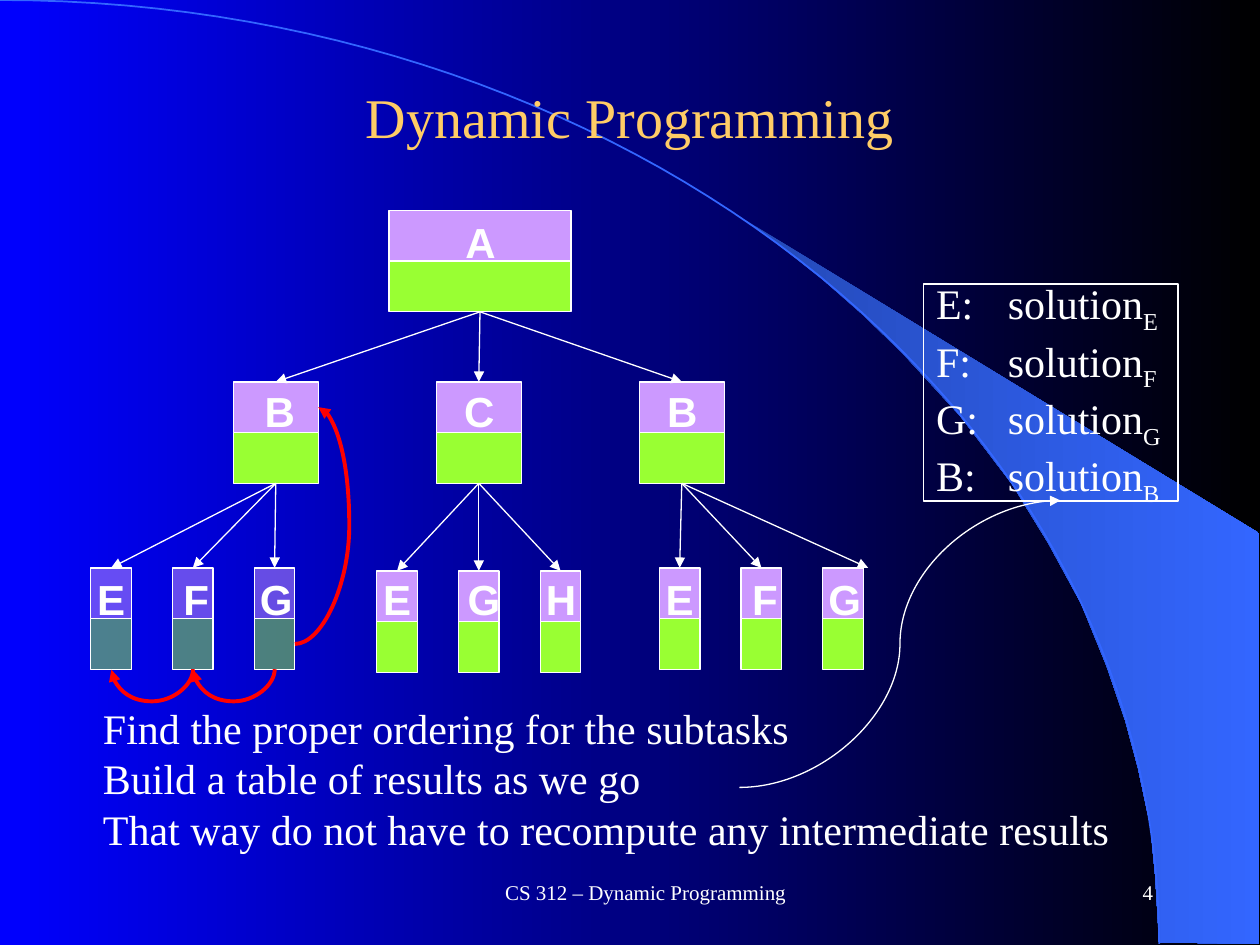
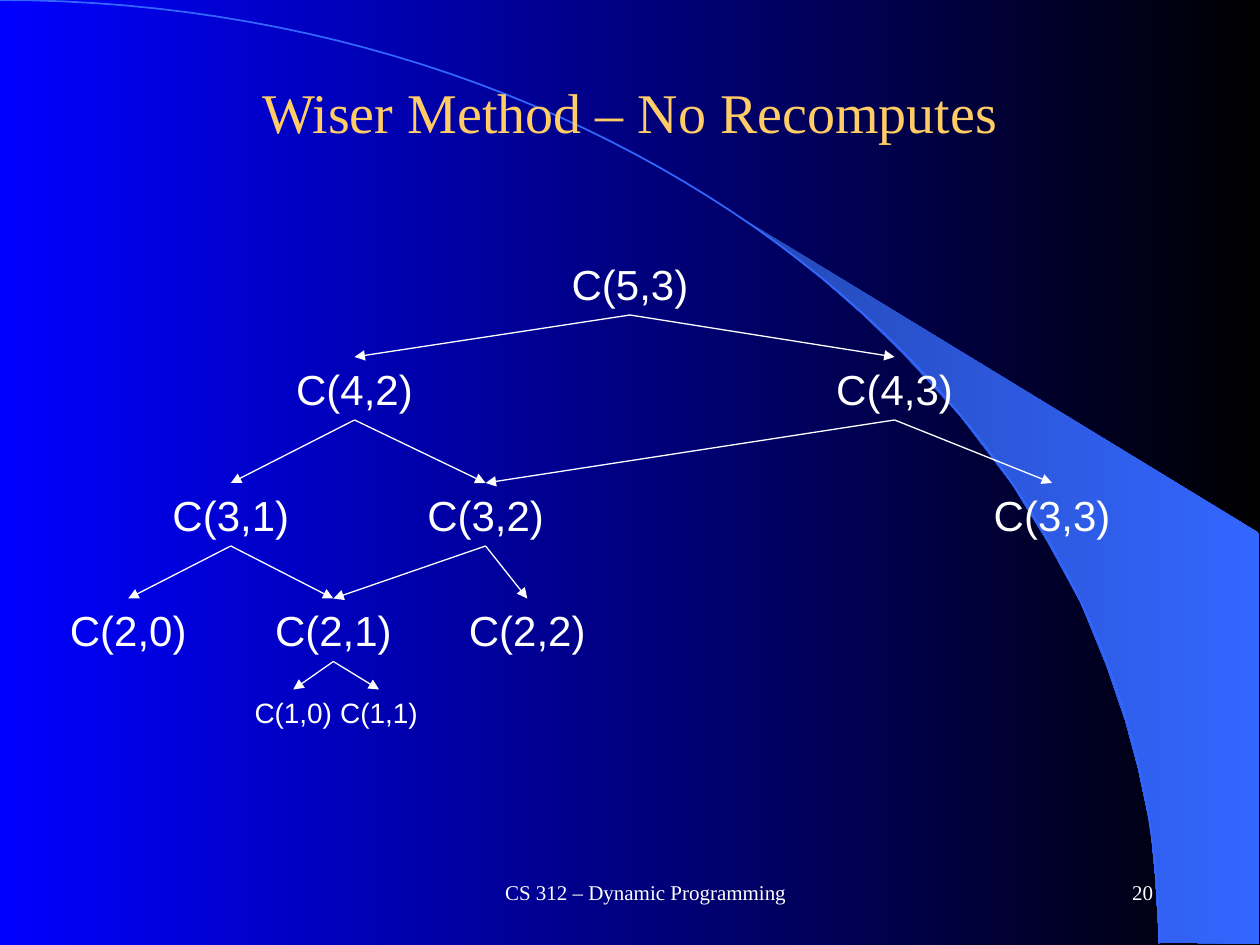
from dataclasses import dataclass
from lxml.etree import SubElement
from pptx import Presentation
from pptx.dml.color import RGBColor
from pptx.enum.shapes import MSO_CONNECTOR, MSO_SHAPE
from pptx.enum.text import MSO_ANCHOR, PP_ALIGN
from pptx.oxml.ns import qn
from pptx.util import Pt


@dataclass(frozen=True)
class Theme:
    white: str = "FFFFFF"
    gold: str = "FFCC66"
    blue: str = "0000FF"
    black: str = "000000"
    sky: str = "3366FF"
    dusk: str = "2449B6"
    lilac: str = "CC99FF"
    lime: str = "99FF33"
    red: str = "FF0000"
    serif: str = "Times New Roman"
    sans: str = "Arial"
    title: int = 32
    body: int = 24
    small: int = 16
    foot: int = 12
    thin: float = 0.75
    thick: float = 2.25


T = Theme()
LEFT, MID, RIGHT = PP_ALIGN.LEFT, PP_ALIGN.CENTER, PP_ALIGN.RIGHT
TOP_SIDE, LOW_SIDE, RIGHT_SIDE = 0, 2, 3
HALF = 29
WING = [(662.4, 538.6), (719.3, 539.3), (719.3, 304.6), (424, 124.6),
        (449.3, 143.3), (470.2, 159.8), (493.2, 180), (515.5, 201.6),
        (548.6, 237.6), (578.2, 276.5), (599, 310.3), (617.8, 344.9),
        (632.2, 380.2), (643, 411.8), (650.2, 438.5), (657.4, 472.3),
        (660.2, 501.1)]
ARC = [(0, 0), (365.8, 0), (662.4, 241.2), (662.4, 539.3)]


def rgb(code):
    return RGBColor.from_string(code)


def blend(fill, start, end):
    """Fill with a gradient that runs from left to right."""
    fill.gradient()
    fill.gradient_angle = 0
    for stop, code in zip(fill.gradient_stops, (start, end)):
        stop.color.rgb = rgb(code)


def write(shape, text, size=T.body, font=T.serif, color=T.white, bold=False,
          align=LEFT, wrap=False, tab=None):
    """Put text in a shape; what follows an underscore is a subscript."""
    frame = shape.text_frame
    frame.word_wrap = wrap
    frame.vertical_anchor = MSO_ANCHOR.MIDDLE
    for i, line in enumerate(text.split("\n")):
        para = frame.add_paragraph() if i else frame.paragraphs[0]
        para.alignment = align
        if tab:
            tabs = SubElement(para._p.get_or_add_pPr(), qn("a:tabLst"))
            SubElement(tabs, qn("a:tab"), pos=str(Pt(tab)), algn="l")
        for j, part in enumerate(line.split("_")):
            run = para.add_run()
            run.text = part
            run.font.size, run.font.name = Pt(size), font
            run.font.bold = bold
            run.font.color.rgb = rgb(color)
            if j:
                run._r.get_or_add_rPr().set("baseline", "-25000")


def label(slide, text, x, y, w, h, **style):
    box = slide.shapes.add_textbox(Pt(x), Pt(y), Pt(w), Pt(h))
    write(box, text, **style)
    return box


def rect(slide, x, y, w, h, fill=None, alpha=None, width=T.thin):
    box = slide.shapes.add_shape(MSO_SHAPE.RECTANGLE, Pt(x), Pt(y), Pt(w), Pt(h))
    box.shadow.inherit = False
    box.line.color.rgb = rgb(T.white)
    box.line.width = Pt(width)
    if fill:
        box.fill.solid()
        box.fill.fore_color.rgb = rgb(fill)
    else:
        box.fill.background()
    if alpha:
        tint = box.element.spPr.find(".//" + qn("a:srgbClr"))
        SubElement(tint, qn("a:alpha"), val=str(alpha * 1000))
    return box


def outline(slide, points, close):
    spots = [(Pt(x), Pt(y)) for x, y in points]
    pen = slide.shapes.build_freeform(*spots[0], scale=1)
    pen.add_line_segments(spots[1:], close=close)
    shape = pen.convert_to_shape()
    shape.shadow.inherit = False
    return shape


def bezier(ends, steps=60):
    """Points along a cubic curve."""
    for i in range(steps + 1):
        t = i / steps
        parts = (1 - t) ** 3, 3 * t * (1 - t) ** 2, 3 * t * t * (1 - t), t ** 3
        yield tuple(sum(p * end[axis] for p, end in zip(parts, ends))
                    for axis in (0, 1))


def arrow(slide, start=(0, 0), end=(0, 0), kind=MSO_CONNECTOR.STRAIGHT,
          color=T.white, width=T.thin):
    line = slide.shapes.add_connector(kind, *map(Pt, start + end))
    line.line.color.rgb = rgb(color)
    line.line.width = Pt(width)
    props = line.element.spPr
    SubElement(props.find(qn("a:ln")), qn("a:tailEnd"), type="triangle")
    SubElement(props, qn("a:effectLst"))
    return line


def link(slide, upper, lower):
    line = arrow(slide)
    line.begin_connect(upper, LOW_SIDE)
    line.end_connect(lower, TOP_SIDE)


def bend(slide, start, end, side, ratio):
    """Red curve between the same side of two boxes."""
    line = arrow(slide, kind=MSO_CONNECTOR.CURVE, color=T.red, width=T.thick)
    line.begin_connect(start, side)
    line.end_connect(end, side)
    values = line.element.spPr.find(".//" + qn("a:avLst"))
    SubElement(values, qn("a:gd"), name="adj1", fmla=f"val {round(ratio * 100000)}")
    return line


def sag(slide, start, end):
    """Red curve that hangs 18 points below two boxes."""
    thin = 0.25
    line = bend(slide, start, end, LOW_SIDE, 18 / thin)
    span = end.left - start.left
    line.left = start.left + (start.width + span) // 2
    line.top = start.top + start.height - span // 2
    line.width, line.height = Pt(thin), span
    frame = line.element.spPr.find(qn("a:xfrm"))
    frame.set("rot", str(270 * 60000))
    frame.set("flipH", "1")


def node(slide, name, x, y, w, nudge=0, lift=0, alpha=None):
    """Task box around centre x: a lilac name half over a lime result half."""
    left = x - w / 2
    low = rect(slide, left, y + HALF, w, HALF, T.lime, alpha)
    top = rect(slide, left, y, w, HALF, T.lilac, alpha)
    label(slide, name, x - 15.5 + nudge, y - lift, 31, 36, font=T.sans,
          bold=True, align=MID)
    return top, low


def page(deck, title, number, y, h):
    slide = deck.slides.add_slide(deck.slide_layouts[6])
    blend(slide.background.fill, T.blue, T.black)
    wing = outline(slide, WING, True)
    blend(wing.fill, T.dusk, T.sky)
    wing.line.fill.background()
    arc = outline(slide, bezier(ARC), False)
    arc.fill.background()
    arc.line.color.rgb = rgb(T.sky)
    arc.line.width = Pt(1)
    label(slide, title, 36, y, 648, h, size=T.title, color=T.gold,
          align=MID, wrap=True)
    label(slide, "CS 312 – Dynamic Programming", 228, 492, 282, 36,
          size=T.foot, align=MID, wrap=True)
    label(slide, str(number), 516, 492, 150, 36, size=T.foot, align=RIGHT,
          wrap=True)
    return slide


def tasks(deck):
    slide = page(deck, "Dynamic Programming", 4, 21.6, 90)
    label(slide, "Find the proper ordering for the subtasks\n"
          "Build a table of results as we go\n"
          "That way do not have to recompute any intermediate results",
          51.8, 397.4, 595.4, 94.3)
    root = node(slide, "A", 274.3, 120.2, 104)

    # name, name nudge, middle of the leaves, leaf top, leaves, leaf alpha
    teams = [("B", 2, 110.2, 324.5, "EFG", 50),
             ("C", 0, 273.6, 326.2, "EGH", None),
             ("B", 0, 435.1, 324.5, "EFG", None)]
    heads, leaves = [], []
    for i, (name, nudge, mid, y, names, alpha) in enumerate(teams):
        head = node(slide, name, 157.6 + 116 * i, 218.2, 48.6, nudge, 1.5)
        link(slide, root[1], head[0])
        heads.append(head)
        for j, leaf in enumerate(names):
            shift = 2 if leaf == "F" or (leaf == "G" and j == 1) else 0
            child = node(slide, leaf, mid + 46.7 * (j - 1), y, 23.2,
                         shift, y - 324, alpha)
            leaves.append(child)
            if (i, j) == (2, 2):
                arrow(slide, end=(496.1, y)).begin_connect(head[1], LOW_SIDE)
            else:
                link(slide, head[1], child[0])

    first, second, third = (low for _, low in leaves[:3])
    sag(slide, first, second)
    sag(slide, second, third)
    bend(slide, third, heads[0][0], RIGHT_SIDE, 2.32)
    arrow(slide, (422.6, 450), (606, 286), MSO_CONNECTOR.CURVE)
    table = rect(slide, 527.8, 162.5, 145.6, 123.7, width=1)
    write(table, "\n".join(f"{key}:\tsolution_{key}" for key in "EFGB"), tab=41)


def calls(deck):
    slide = page(deck, "Wiser Method – No Recomputes", 20, 30.2, 66.2)
    # n, top, height, type size, centre for each k
    rows = [(5, 144, 36, T.body, {3: 360}),
            (4, 204, 36, T.body, {2: 202.6, 3: 511.2}),
            (3, 276, 36, T.body, {1: 131.9, 2: 277.5, 3: 601.2}),
            (2, 342, 36, T.body, {0: 73.3, 1: 190.5, 2: 301.3}),
            (1, 394, 26.6, T.small, {0: 167.6, 1: 216.6})]
    boxes = {}
    for n, y, h, size, spots in rows:
        w = 81.4 if size == T.body else 59
        for k, x in spots.items():
            boxes[n, k] = label(slide, f"C({n},{k})", x - w / 2, y, w, h,
                                size=size, font=T.sans, align=MID)
    for (n, k), box in boxes.items():
        if 0 < k < n and n > 1:
            link(slide, box, boxes[n - 1, k - 1])
            link(slide, box, boxes[n - 1, k])


def main():
    deck = Presentation()
    deck.slide_width, deck.slide_height = Pt(720), Pt(540)
    tasks(deck)
    calls(deck)
    deck.save("out.pptx")


if __name__ == "__main__":
    main()
